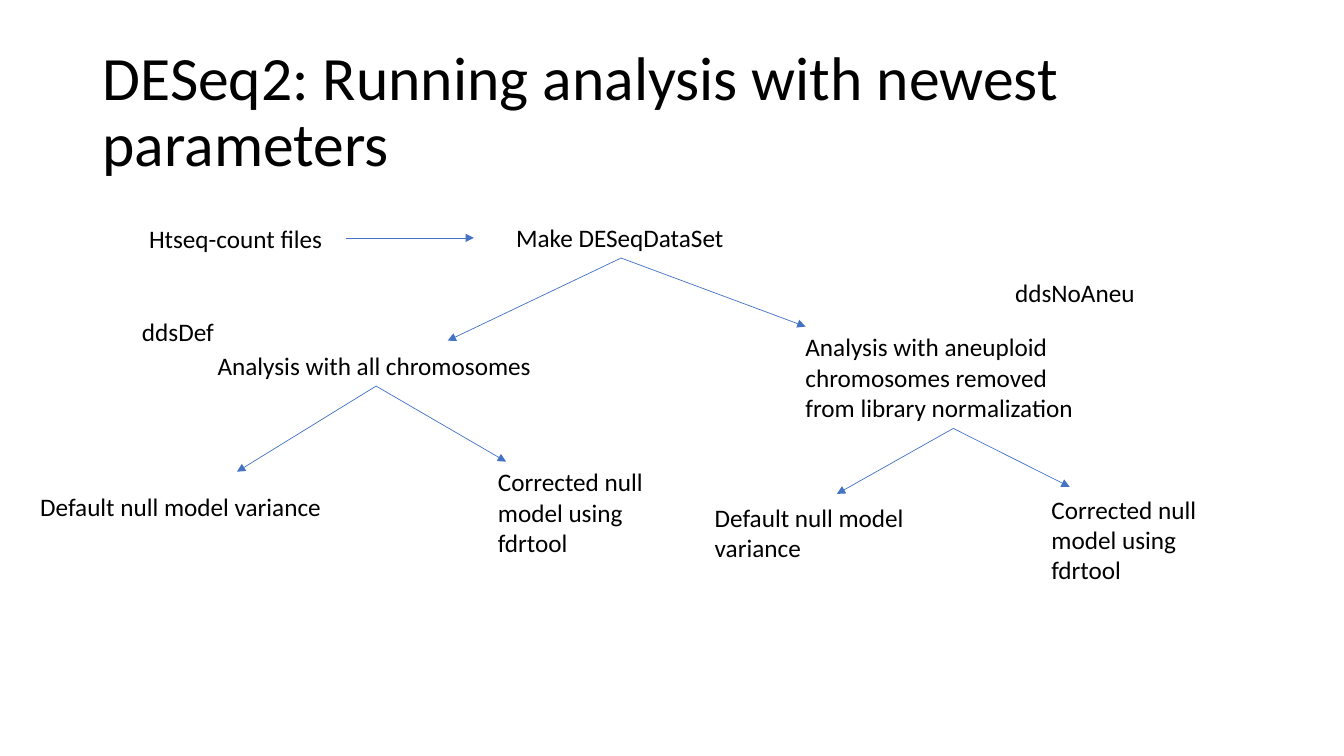
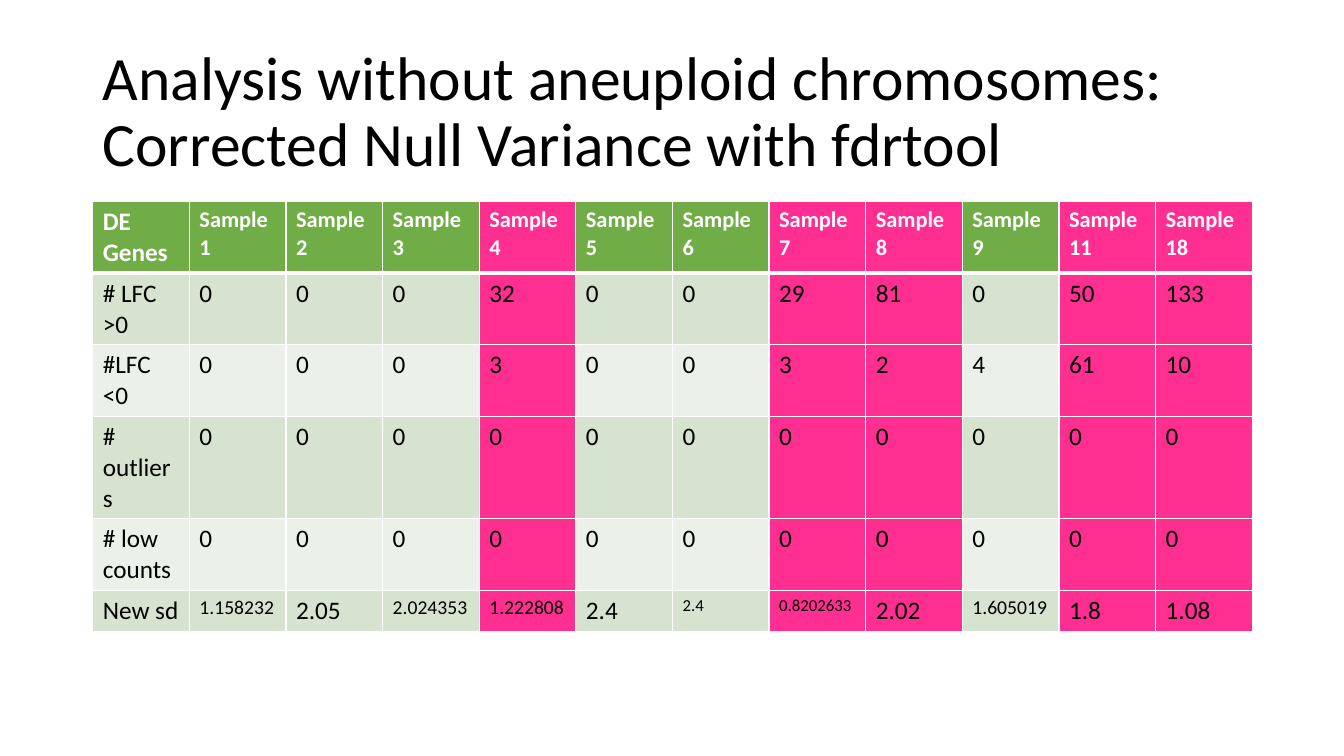
"""Builds two slides on the DESeq2 analysis: a flow of steps and a table of results."""
import pptx
import pptx.dml.color
import pptx.enum.shapes
import pptx.enum.text
import pptx.oxml
import pptx.oxml.ns
import pptx.util

FONT = "Calibri"
COLORS = {
    "text": "000000",
    "white": "FFFFFF",
    "arrow": "4472C4",
    "header": "70AD47",
    "odd": "D5E3CF",
    "even": "EBF1E9",
    "marked": "FF2F92",
}
SLIDE_SIZE = (13.33, 7.5)
TITLE_FRAME = (0.92, 0.4, 11.5, 1.45)
BODY_SIZE = 18

FLOW_TITLE = "DESeq2: Running analysis with newest parameters"
TABLE_TITLE = "Analysis without aneuploid chromosomes:\vCorrected Null Variance with fdrtool"

STEPS = {
    "files": ("Htseq-count files", (1.38, 2.17, 1.94, 0.4), False),
    "dataset": ("Make DESeqDataSet", (5.02, 2.16, 2.28, 0.4), False),
    "all": ("Analysis with all chromosomes", (2.06, 3.43, 3.34, 0.4), False),
    "reduced": ("Analysis with aneuploid chromosomes removed from library normalization",
                (7.89, 3.24, 3.13, 1.01), True),
    "all default": ("Default null model variance", (0.3, 4.83, 3.02, 0.4), False),
    "all corrected": ("Corrected null model using fdrtool", (4.84, 4.58, 2.08, 1.01), True),
    "reduced default": ("Default null model variance", (6.99, 4.93, 2.08, 0.71), True),
    "reduced corrected": ("Corrected null model using fdrtool", (10.33, 4.85, 2.08, 1.01), True),
    "all name": ("ddsDef", (1.31, 3.09, 0.92, 0.4), False),
    "reduced name": ("ddsNoAneu", (9.97, 2.7, 1.4, 0.4), False),
}
FILES_ARROW = ((3.43, 2.36), (4.7, 2.36))
BRANCHES = {
    "dataset": [(4.44, 3.38), (7.99, 3.24)],
    "all": [(2.35, 4.68), (5.02, 4.58)],
    "reduced": [(8.3, 4.9), (10.61, 4.83)],
}

SAMPLES = [1, 2, 3, 4, 5, 6, 7, 8, 9, 11, 18]
MARKED_SAMPLES = {4, 7, 8, 11, 18}
RESULTS = [
    ["DE Genes"] + [f"Sample {number}" for number in SAMPLES],
    ["# LFC >0", 0, 0, 0, 32, 0, 0, 29, 81, 0, 50, 133],
    ["#LFC <0", 0, 0, 0, 3, 0, 0, 3, 2, 4, 61, 10],
    ["# outliers"] + [0] * len(SAMPLES),
    ["# low counts"] + [0] * len(SAMPLES),
    ["New sd", "1.158232", "2.05", "2.024353", "1.222808", "2.4", "2.4",
     "0.8202633", "2.02", "1.605019", "1.8", "1.08"],
]
HEADER_SIZES = [18] + [16] * len(SAMPLES)
DEVIATION_SIZES = [18, 14, 18, 14, 14, 18, 12, 12, 18, 14, 18, 18]
TABLE_LEFT, TABLE_TOP, TABLE_WIDTH, ROW_HEIGHT = 0.92, 2, 11.5, 0.41


def inches(values):
    return [pptx.util.Inches(value) for value in values]


def rgb(name):
    return pptx.dml.color.RGBColor.from_string(COLORS[name])


def style_font(para, size, color="text", bold=False):
    font = para.font
    font.name, font.size, font.bold = FONT, pptx.util.Pt(size), bold
    font.color.rgb = rgb(color)


def add_text(page, text, frame, size=BODY_SIZE, wrap=True):
    box = page.shapes.add_textbox(*inches(frame))
    box.text_frame.text = text
    box.text_frame.word_wrap = wrap
    box.text_frame.auto_size = pptx.enum.text.MSO_AUTO_SIZE.SHAPE_TO_FIT_TEXT
    style_font(box.text_frame.paragraphs[0], size)
    return box


def add_page(deck, title):
    page = deck.slides.add_slide(deck.slide_layouts[6])
    box = add_text(page, title, TITLE_FRAME, size=44)
    box.text_frame.auto_size = pptx.enum.text.MSO_AUTO_SIZE.NONE
    box.text_frame.vertical_anchor = pptx.enum.text.MSO_ANCHOR.MIDDLE
    box.text_frame.paragraphs[0].line_spacing = 0.9
    return page


def add_arrow(page, start, end, source=None):
    arrow = page.shapes.add_connector(
        pptx.enum.shapes.MSO_CONNECTOR.STRAIGHT, *inches(start + end))
    if source is not None:
        arrow.begin_connect(source, 2)
    arrow.line.color.rgb = rgb("arrow")
    arrow.line.width = pptx.util.Pt(0.5)
    head = pptx.oxml.parse_xml(
        f'<a:tailEnd {pptx.oxml.ns.nsdecls("a")} type="triangle"/>')
    arrow.line._get_or_add_ln().append(head)
    arrow._element.spPr.append(
        pptx.oxml.parse_xml(f'<a:effectLst {pptx.oxml.ns.nsdecls("a")}/>'))


def add_flow(page):
    boxes = {name: add_text(page, text, frame, wrap=wrap)
             for name, (text, frame, wrap) in STEPS.items()}
    add_arrow(page, *FILES_ARROW)
    for name, ends in BRANCHES.items():
        left, top, width, height = STEPS[name][1]
        for end in ends:
            add_arrow(page, (left + width / 2, top + height), end, boxes[name])


def set_borders(cell, row):
    widths = {"L": 1, "R": 1, "T": 3 if row == 1 else 1, "B": 3 if row == 0 else 1}
    properties = cell._tc.get_or_add_tcPr()
    for position, (side, width) in enumerate(widths.items()):
        properties.insert(position, pptx.oxml.parse_xml(
            f'<a:ln{side} {pptx.oxml.ns.nsdecls("a")} w="{pptx.util.Pt(width)}">'
            f'<a:solidFill><a:srgbClr val="{COLORS["white"]}"/></a:solidFill></a:ln{side}>'))


def cell_fill(row, column):
    if column and SAMPLES[column - 1] in MARKED_SAMPLES:
        return "marked"
    if row == 0:
        return "header"
    return "odd" if row % 2 else "even"


def add_results(page):
    rows, columns = len(RESULTS), len(RESULTS[0])
    sizes = {0: HEADER_SIZES, rows - 1: DEVIATION_SIZES}
    frame = (TABLE_LEFT, TABLE_TOP, TABLE_WIDTH, ROW_HEIGHT * rows)
    table = page.shapes.add_table(rows, columns, *inches(frame)).table
    table.first_row = table.horz_banding = False
    for row, values in enumerate(RESULTS):
        for column, value in enumerate(values):
            cell = table.cell(row, column)
            cell.text = str(value)
            cell.fill.solid()
            cell.fill.fore_color.rgb = rgb(cell_fill(row, column))
            set_borders(cell, row)
            size = sizes[row][column] if row in sizes else BODY_SIZE
            style_font(cell.text_frame.paragraphs[0], size,
                       "text" if row else "white", bold=row == 0)


def main():
    deck = pptx.Presentation()
    deck.slide_width, deck.slide_height = inches(SLIDE_SIZE)
    add_flow(add_page(deck, FLOW_TITLE))
    add_results(add_page(deck, TABLE_TITLE))
    deck.save("out.pptx")


if __name__ == "__main__":
    main()
